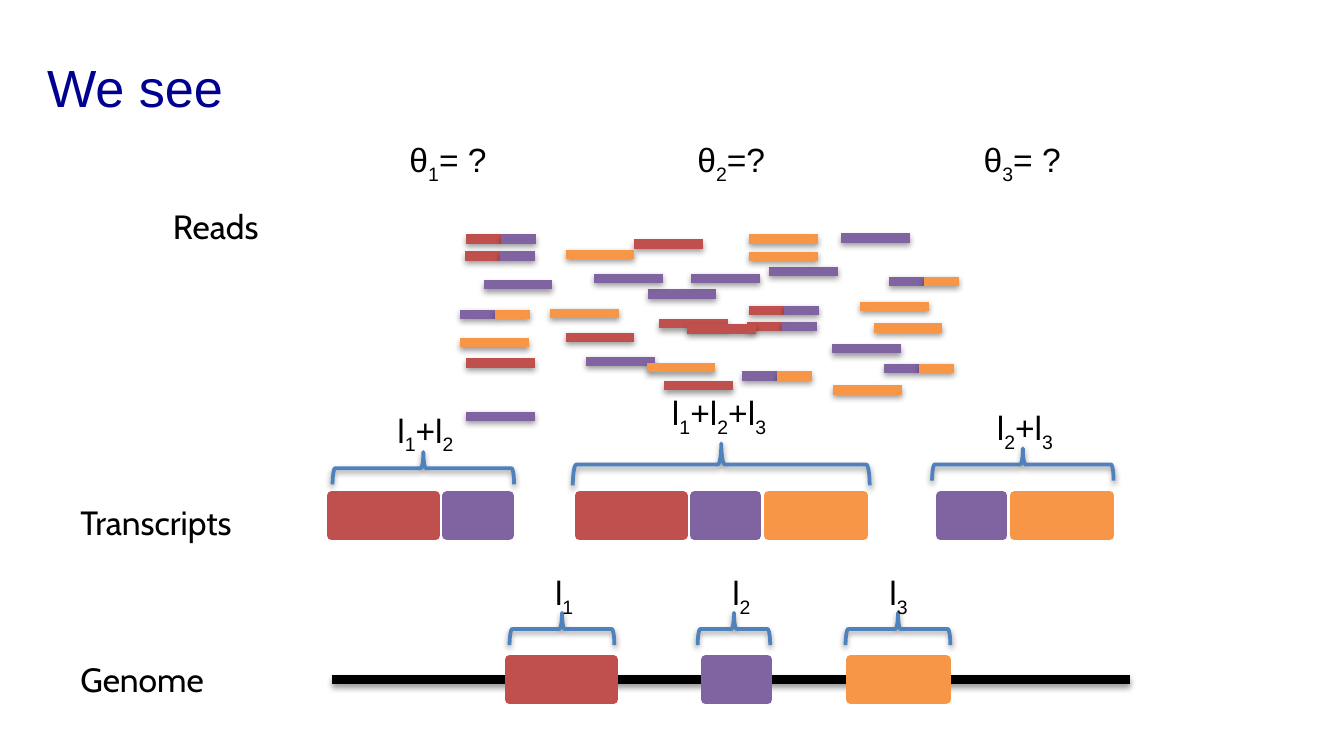
"""Builds the slide that relates reads, transcripts and genome."""
from itertools import pairwise

from lxml.etree import fromstring
from pptx import Presentation
from pptx.dml.color import RGBColor
from pptx.enum.shapes import MSO_CONNECTOR, MSO_SHAPE
from pptx.enum.text import MSO_ANCHOR
from pptx.util import Cm, Pt

RED = RGBColor(0xC0, 0x50, 0x4D)
PURPLE = RGBColor(0x80, 0x64, 0xA2)
ORANGE = RGBColor(0xF7, 0x96, 0x46)
BLUE = RGBColor(0x4F, 0x81, 0xBD)
NAVY = RGBColor(0x00, 0x00, 0x90)
BLACK = RGBColor(0x00, 0x00, 0x00)

SHADOW = (
    '<a:effectLst xmlns:a="http://schemas.openxmlformats.org/drawingml/2006/main">'
    '<a:outerShdw blurRad="40000" dist="20000" dir="5400000" rotWithShape="0">'
    '<a:srgbClr val="000000"><a:alpha val="38000"/></a:srgbClr>'
    '</a:outerShdw></a:effectLst>'
)

EXON_WIDTH = {RED: 1.96, PURPLE: 1.17, ORANGE: 1.8}
EXON_HEIGHT = 0.76
EXON_GAP = 0.22
READ = 1.3
HALF_READ = 0.66
GENOME_Y = 12.85
TRANSCRIPT_Y = 9.37

READS = {
    RED: [(12.45, 6.12), (10.69, 6.38), (12.55, 7.29), (8.81, 6.86), (11.99, 4.61)],
    PURPLE: [(12.24, 5.56), (9.14, 5.38), (11.07, 6.83), (14.53, 5.13), (8.81, 7.87),
             (11.23, 5.26), (15.9, 4.5), (15.72, 6.59), (13.06, 5.26)],
    ORANGE: [(14.15, 4.52), (14.15, 4.85), (15.75, 7.37), (12.22, 6.95), (10.69, 4.81),
             (16.26, 5.79), (16.51, 6.2), (10.39, 5.92), (8.69, 6.48)],
}
JUNCTION_READS = {
    (RED, PURPLE): [(8.81, 4.52), (8.79, 4.84), (14.15, 5.87), (14.12, 6.17)],
    (PURPLE, ORANGE): [(16.71, 6.96), (8.69, 5.94), (16.81, 5.32), (14.02, 7.11)],
}
EXONS = [(RED, 9.63), (PURPLE, 13.34), (ORANGE, 16.08)]
TRANSCRIPTS = [
    (6.27, (RED, PURPLE)),
    (10.95, (RED, PURPLE, ORANGE)),
    (17.78, (PURPLE, ORANGE)),
]
THETAS = [("θ_1= ?", 7.49, 2.01), ("θ_2=?", 12.93, 1.83), ("θ_3= ?", 18.34, 2.01)]
LENGTHS = [
    ("l_2", (13.59, 10.69, 0.89), (13.87, 11.89, 1.37, 0.61)),
    ("l_1", (10.24, 10.69, 0.89), (10.62, 11.89, 1.98, 0.61)),
    ("l_3", (16.56, 10.69, 0.89), (16.97, 11.89, 1.98, 0.61)),
    ("l_1+l_2", (7.26, 7.62, 2.36), (8, 8.85, 3.43, 0.61)),
    ("l_1+l_2+l_3", (12.45, 7.29, 3.86), (13.63, 8.78, 5.61, 0.79)),
    ("l_2+l_3", (18.59, 7.57, 2.36), (19.33, 8.78, 3.43, 0.61)),
]


class Diagram:
    """Holds the style and the current slide, and draws each kind of element."""

    font = "Arial"
    label_font = "Cabin"
    size = 18
    thick = 5
    thin = 2

    def __init__(self, s):
        self.s = s
        self.shapes = s.shapes

    def start_group(self):
        """Sends the next elements to a new group."""
        self.shapes = self.s.shapes.add_group_shape().shapes

    def end_group(self):
        """Sends the next elements to the slide itself."""
        self.shapes = self.s.shapes

    def text(self, text, x, y, w, h=1.02, *, font=font, size=size, color=BLACK,
             anchor=MSO_ANCHOR.TOP, wrap=False):
        """Adds text in which an underscore lowers the next character."""
        tf = self.shapes.add_textbox(Cm(x), Cm(y), Cm(w), Cm(h)).text_frame
        tf.word_wrap = wrap
        tf.vertical_anchor = anchor
        p = tf.paragraphs[0]
        first, *rest = text.split("_")
        parts = [(first, False)]
        for part in rest:
            parts += [(part[0], True), (part[1:], False)]
        for content, lowered in parts:
            if not content:
                continue
            r = p.add_run()
            r.text = content
            r.font.name = font
            r.font.size = Pt(size)
            r.font.color.rgb = color
            if lowered:
                r.font._element.set("baseline", "-25000")

    def outline(self, shape, color, width):
        """Gives a shape or connector a coloured line and a soft shadow."""
        shape.line.color.rgb = color
        shape.line.width = Pt(width)
        shape._element.spPr.append(fromstring(SHADOW))

    def line(self, x, y, length, color):
        """Adds a thick horizontal line."""
        c = self.shapes.add_connector(
            MSO_CONNECTOR.STRAIGHT, Cm(x), Cm(y), Cm(x + length), Cm(y))
        self.outline(c, color, self.thick)
        return c

    def exon(self, x, y, color):
        """Adds an exon block as wide as its colour demands."""
        sp = self.shapes.add_shape(
            MSO_SHAPE.RECTANGLE, Cm(x), Cm(y), Cm(EXON_WIDTH[color]), Cm(EXON_HEIGHT))
        sp.shadow.inherit = False
        sp.fill.solid()
        sp.fill.fore_color.rgb = color
        sp.line.color.rgb = color
        sp.line.width = Pt(self.thick)
        return sp

    def brace(self, cx, cy, span, depth):
        """Adds a brace that opens downwards around a centre point."""
        sp = self.shapes.add_shape(
            MSO_SHAPE.LEFT_BRACE, Cm(cx - depth / 2), Cm(cy - span / 2), Cm(depth), Cm(span))
        sp.rotation = 90
        sp.fill.background()
        self.outline(sp, BLUE, self.thin)


def draw_genome(d):
    """Draws the genome line with its exons joined to it."""
    stops = [6.27]
    for color, x in EXONS:
        stops += [x, x + EXON_WIDTH[color]]
    stops.append(21.36)
    gaps = list(pairwise(stops))[::2]
    lines = [d.line(a, GENOME_Y, b - a, BLACK) for a, b in gaps]
    exons = [d.exon(x, GENOME_Y - EXON_HEIGHT / 2, color) for color, x in EXONS]
    for before, sp, after in zip(lines, exons, lines[1:]):
        before.end_connect(sp, 1)
        after.begin_connect(sp, 3)


def draw_transcripts(d):
    """Draws each transcript as a row of exons."""
    for x, colors in TRANSCRIPTS:
        for color in colors:
            d.exon(x, TRANSCRIPT_Y, color)
            x += EXON_WIDTH[color] + EXON_GAP


def draw_reads(d):
    """Draws the reads, whole ones first and then those across a junction."""
    d.start_group()
    d.text("Reads", 3.02, 3.76, 2.16, font=d.label_font)
    for color, places in READS.items():
        for x, y in places:
            d.line(x, y, READ, color)
    for colors, places in JUNCTION_READS.items():
        for x, y in places:
            for i, color in enumerate(colors):
                d.line(x + i * HALF_READ, y, HALF_READ, color)
    d.end_group()


def main():
    """Builds and saves the slide."""
    prs = Presentation()
    prs.slide_width, prs.slide_height = Cm(25.4), Cm(14.29)
    d = Diagram(prs.slides.add_slide(prs.slide_layouts[6]))
    d.text("We see", 0.64, 0.79, 22.86, 1.7, size=28, color=NAVY,
           anchor=MSO_ANCHOR.MIDDLE, wrap=True)
    draw_genome(d)
    d.text("Genome", 1.27, 12.34, 2.87, font=d.label_font)
    d.text("Transcripts", 1.27, 9.37, 3.63, font=d.label_font)
    draw_transcripts(d)
    draw_reads(d)
    for theta, x, w in THETAS:
        d.text(theta, x, 2.51, w)
    for label, place, brace in LENGTHS:
        d.start_group()
        d.brace(*brace)
        d.text(label, *place, wrap="+" in label)
    d.end_group()
    d.line(12.98, 6.22, READ, RED)
    prs.save("out.pptx")


if __name__ == "__main__":
    main()
